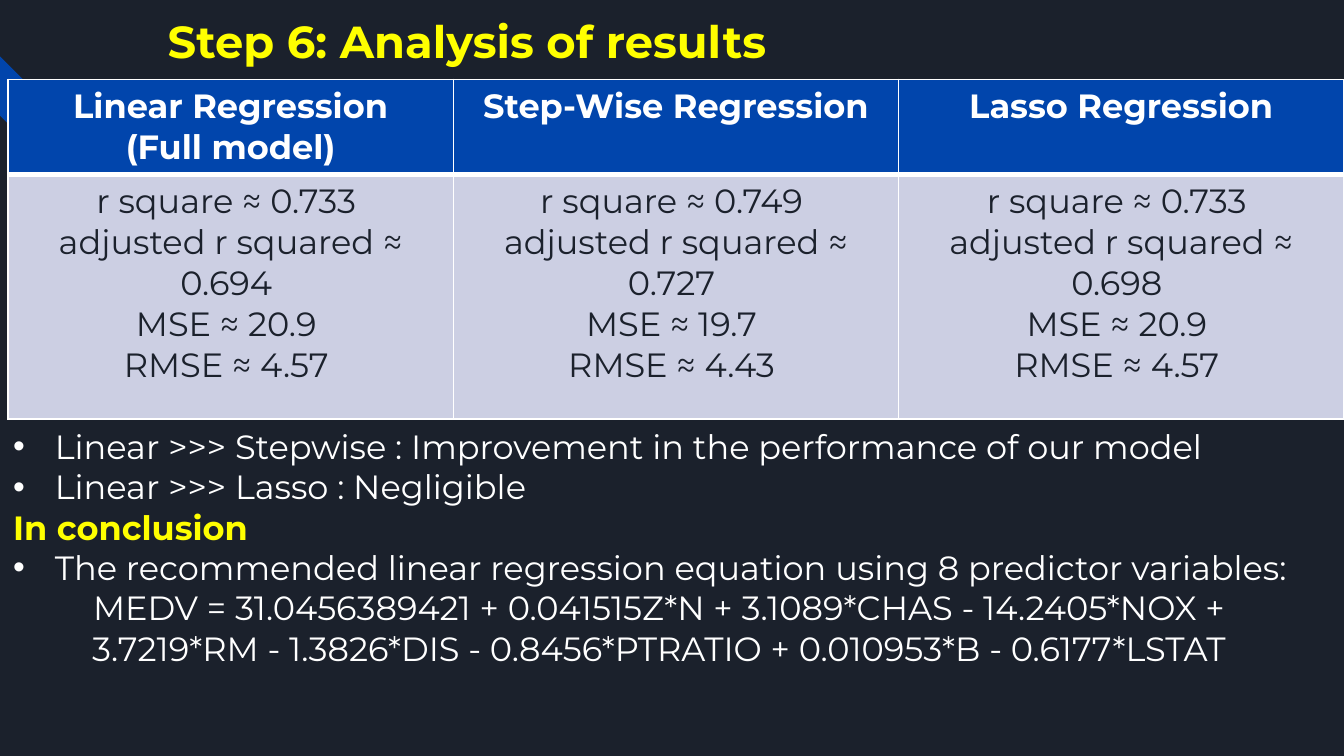
from lxml.etree import SubElement
from pptx import Presentation
from pptx.dml.color import RGBColor
from pptx.enum.shapes import MSO_SHAPE
from pptx.enum.text import PP_ALIGN
from pptx.oxml.ns import qn
from pptx.util import Inches, Pt

BLUE, NAVY, WHITE, YELLOW, LILAC = "0145AC", "1B212C", "FFFFFF", "FFFF00", "CCCFE3"


def paint(fill, color):
    fill.solid()
    fill.fore_color.rgb = RGBColor.from_string(color)


def write(paragraph, text, size=18, color=WHITE, bold=False, align=PP_ALIGN.LEFT, bullet=False):
    paragraph.alignment = align
    for index, line in enumerate(text.split("\n")):
        if index:
            paragraph.add_line_break()
        run = paragraph.add_run()
        run.text = line
        run.font.name = "Montserrat"
        run.font.size = Pt(size)
        run.font.bold = bold
        run.font.color.rgb = RGBColor.from_string(color)
    if bullet:
        properties = paragraph._p.get_or_add_pPr()
        properties.set("marL", str(Inches(0.31)))
        properties.set("indent", str(Inches(-0.31)))
        bullet_color = SubElement(properties, qn("a:buClr"))
        SubElement(bullet_color, qn("a:srgbClr"), val=color)
        SubElement(properties, qn("a:buFont"), typeface="Arial")
        SubElement(properties, qn("a:buChar"), char="•")


def write_all(frame, entries):
    for index, (text, style) in enumerate(entries):
        paragraph = frame.add_paragraph() if index else frame.paragraphs[0]
        write(paragraph, text, **style)


class SlideBuilder:
    """Draws styled elements on the current slide."""

    def __init__(self, slide):
        self.slide = slide
        paint(slide.background.fill, NAVY)

    def stripe(self, left, top, size, color, rotation):
        shape = self.slide.shapes.add_shape(
            MSO_SHAPE.DIAGONAL_STRIPE, Inches(left), Inches(top), Inches(size), Inches(size))
        shape.rotation = rotation
        shape.shadow.inherit = False
        paint(shape.fill, color)
        shape.line.fill.background()

    def text(self, left, top, width, height, entries, margin=0.05):
        shape = self.slide.shapes.add_textbox(
            Inches(left), Inches(top), Inches(width), Inches(height))
        frame = shape.text_frame
        frame.word_wrap = True
        frame.margin_top = frame.margin_bottom = Inches(margin)
        write_all(frame, entries)

    def cell(self, cell, entries, color, top_width, bottom_width):
        properties = cell._tc.get_or_add_tcPr()
        widths = {"a:lnL": 1, "a:lnR": 1, "a:lnT": top_width, "a:lnB": bottom_width}
        for tag, width in widths.items():
            line = SubElement(properties, qn(tag), w=str(Pt(width)))
            SubElement(SubElement(line, qn("a:solidFill")), qn("a:srgbClr"), val=WHITE)
        paint(cell.fill, color)
        write_all(cell.text_frame, entries)

    def table(self, left, top, width, heights, columns):
        table = self.slide.shapes.add_table(
            2, len(columns), Inches(left), Inches(top), Inches(width), Inches(sum(heights))).table
        for row, height in zip(table.rows, heights):
            row.height = Inches(height)
        header = {"bold": True, "align": PP_ALIGN.CENTER}
        body = {"color": NAVY, "align": PP_ALIGN.CENTER}
        for index, (titles, metrics) in enumerate(columns):
            self.cell(table.cell(0, index), [(title, header) for title in titles], BLUE, 1, 3)
            self.cell(table.cell(1, index), [(metrics, body)], LILAC, 3, 1)


def metrics(r_square, adjusted, mse, rmse):
    return (f"r square ≈ {r_square} \nadjusted r squared ≈ {adjusted} \n"
            f"MSE ≈ {mse} \nRMSE ≈ {rmse} ")


def main():
    presentation = Presentation()
    presentation.slide_width = Inches(10)
    presentation.slide_height = Inches(10) * 9 // 16
    builder = SlideBuilder(presentation.slides.add_slide(presentation.slide_layouts[6]))

    builder.stripe(0, 0.42, 0.88, BLUE, 270)
    builder.text(1.15, 0, 7.7, 1, [
        ("Step 6: Analysis of results", {"size": 24, "color": YELLOW, "bold": True}),
    ], margin=0.1)
    builder.table(0.06, 0.59, 9.94, [0.71, 1.82], [
        (["Linear Regression", "(Full model)"], metrics("0.733", "0.694", "20.9", "4.57")),
        (["Step-Wise Regression"], metrics("0.749", "0.727", "19.7", "4.43")),
        (["Lasso Regression"], metrics("0.733", "0.698", "20.9", "4.57")),
    ])
    bullet = {"bullet": True}
    builder.text(0, 3.12, 9.81, 1.92, [
        ("Linear >>> Stepwise : Improvement in the performance of our model", bullet),
        ("Linear >>> Lasso : Negligible", bullet),
        ("In conclusion", {"color": YELLOW, "bold": True}),
        ("The recommended linear regression equation using 8 predictor variables:", bullet),
        ("MEDV = 31.0456389421 + 0.041515Z*N + 3.1089*CHAS - 14.2405*NOX + 3.7219*RM"
         " - 1.3826*DIS - 0.8456*PTRATIO + 0.010953*B - 0.6177*LSTAT",
         {"align": PP_ALIGN.CENTER}),
    ])
    presentation.save("out.pptx")


if __name__ == "__main__":
    main()
